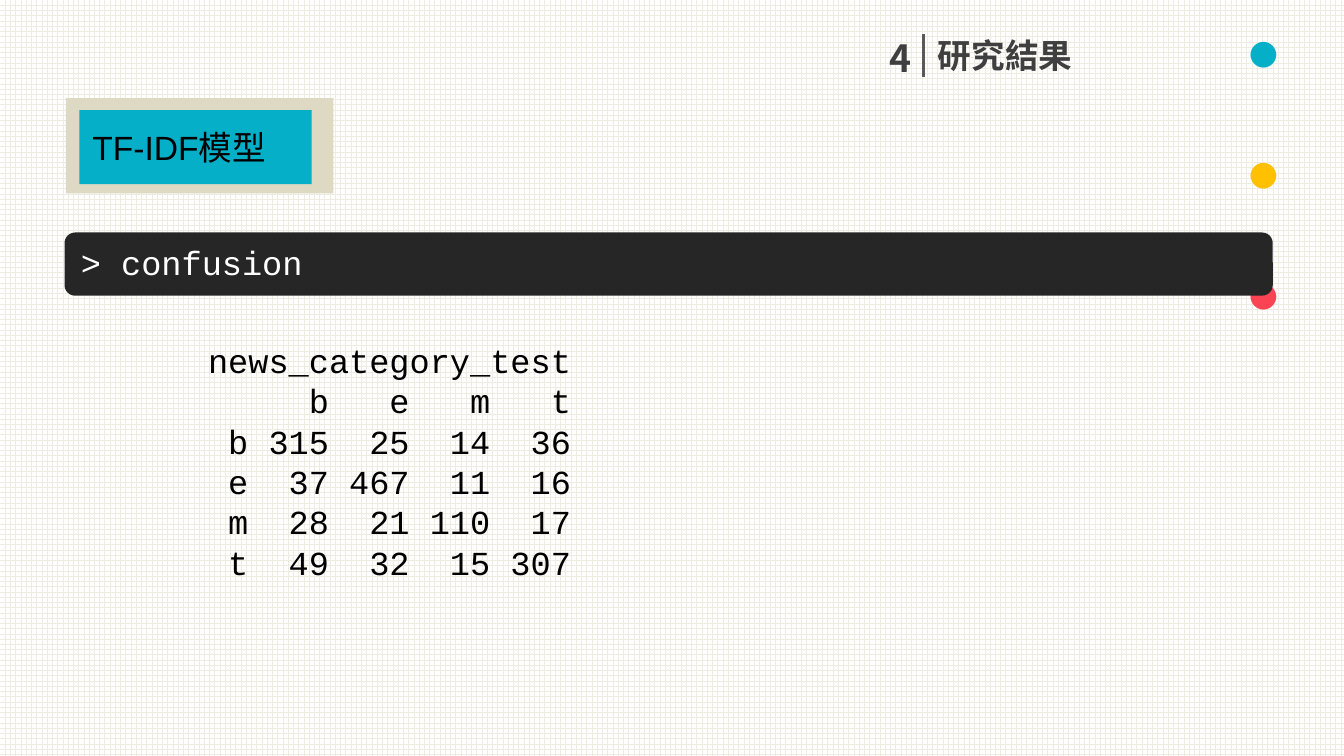
from dataclasses import dataclass
from typing import Any

from lxml.etree import SubElement
from pptx import Presentation
from pptx.dml.color import RGBColor
from pptx.enum.dml import MSO_PATTERN
from pptx.enum.shapes import MSO_CONNECTOR, MSO_SHAPE
from pptx.enum.text import MSO_ANCHOR, MSO_AUTO_SIZE, PP_ALIGN
from pptx.oxml.ns import qn
from pptx.util import Inches, Pt

HUES = {"paper": "FFFFFF", "grid": "EEECE1", "teal": "05AFC8", "gold": "FFC000",
        "red": "FA4453", "sand": "DDD9C3", "dark": "262626", "gray": "3F3F3F",
        "rule": "595959", "black": "000000", "white": "FFFFFF"}
CJK = "Noto Sans CJK SC"
FONTS = {
    "dot": {"name": CJK, "size": Pt(54), "bold": True},
    "num": {"name": CJK, "size": Pt(20), "bold": True},
    "head": {"name": CJK, "size": Pt(18), "bold": True},
    "label": {"name": "Arial", "size": Pt(18)},
    "code": {"name": "Courier New", "size": Pt(18)},
}
CHAR = 0.15  # inches per code character at 18 pt
STOPS = range(3, 20, 4)

deck = Presentation()
deck.slide_width, deck.slide_height = Inches(10), Inches(5.625)
COL, ROW = deck.slide_width / 100, deck.slide_height / 100
slide = deck.slides.add_slide(deck.slide_layouts[6])


@dataclass
class Box:
    """A place on the grid of 100 columns by 100 rows."""
    col: float
    row: float
    wide: float
    high: float

    def at(self) -> tuple[int, int, int, int]:
        """Give left, top, width and height in slide units."""
        return (round(self.col * COL), round(self.row * ROW),
                round(self.wide * COL), round(self.high * ROW))


@dataclass
class Panel:
    """A filled shape with an optional line of text."""
    kind: Any
    box: Box
    fill: str
    text: str = ""
    font: str = "label"
    hue: str = "black"
    anchor: Any = MSO_ANCHOR.MIDDLE


@dataclass
class Note:
    """A text box: each line is a list of (text, hue) runs."""
    box: Box
    font: str
    lines: list
    align: Any = PP_ALIGN.LEFT


def tint(name: str) -> RGBColor:
    """Look up a colour by name."""
    return RGBColor.from_string(HUES[name])


def write(para: Any, text: str, font: str, hue: str) -> None:
    """Add one run in the given format."""
    run = para.add_run()
    run.text = text
    for key, value in FONTS[font].items():
        setattr(run.font, key, value)
    run.font.color.rgb = tint(hue)
    SubElement(run.font._element, qn("a:ea"), typeface=CJK)


def draw(panel: Panel) -> None:
    """Draw a filled panel."""
    shape = slide.shapes.add_shape(panel.kind, *panel.box.at())
    shape.shadow.inherit = False
    shape.fill.solid()
    shape.fill.fore_color.rgb = tint(panel.fill)
    shape.line.fill.background()
    if panel.text:
        frame = shape.text_frame
        frame.vertical_anchor = panel.anchor
        para = frame.paragraphs[0]
        para.alignment = PP_ALIGN.LEFT
        write(para, panel.text, panel.font, panel.hue)


def place(note: Note) -> Any:
    """Add a text box and return its frame."""
    frame = slide.shapes.add_textbox(*note.box.at()).text_frame
    frame.word_wrap = True
    frame.auto_size = MSO_AUTO_SIZE.SHAPE_TO_FIT_TEXT
    for i, line in enumerate(note.lines):
        para = frame.add_paragraph() if i else frame.paragraphs[0]
        para.alignment = note.align
        for text, hue in line:
            write(para, text, note.font, hue)
    return frame


def stops(para: Any) -> None:
    """Set right tab stops at the ends of the matrix columns."""
    tabs = SubElement(para._p.get_or_add_pPr(), qn("a:tabLst"))
    for stop in STOPS:
        SubElement(tabs, qn("a:tab"), pos=str(Inches(stop * CHAR)), algn="r")


def rule(col: float, top: float, end: float) -> None:
    """Draw the upright line beside the heading."""
    line = slide.shapes.add_connector(
        MSO_CONNECTOR.STRAIGHT, round(col * COL), round(end * ROW),
        round(col * COL), round(top * ROW))
    line.line.color.rgb = tint("rule")
    line.line.width = Pt(1.5)
    SubElement(line._element.spPr, qn("a:effectLst"))


back = slide.background.fill
back.patterned()
back.pattern = MSO_PATTERN.LARGE_GRID
back.fore_color.rgb, back.back_color.rgb = tint("grid"), tint("paper")

dots = place(Note(Box(82.3, -1.78, 16.5, 17.96), "dot",
                  [[("· ", "teal"), ("· ", "gold"), ("·", "red")]], PP_ALIGN.RIGHT))
for run in dots.paragraphs[0].runs:
    run.font._element.set("lang", "zh-TW")
    run.font._element.set("altLang", "en-US")

PANELS = [
    Panel(MSO_SHAPE.RECTANGLE, Box(4.9, 12.98, 19.9, 12.62), "sand"),
    Panel(MSO_SHAPE.RECTANGLE, Box(5.9, 14.58, 17.3, 9.78), "teal", "TF-IDF模型"),
    Panel(MSO_SHAPE.ROUNDED_RECTANGLE, Box(4.8, 30.76, 89.9, 8.36), "dark",
          "> confusion", "code", "white", MSO_ANCHOR.TOP),
]
for panel in PANELS:
    draw(panel)

NAMES = "bemt"
COUNTS = [(315, 25, 14, 36), (37, 467, 11, 16), (28, 21, 110, 17), (49, 32, 15, 307)]
rows = ["news_category_test", "\t\t" + "\t".join(NAMES)]
rows += ["\t" + "\t".join(map(str, (name, *row))) for name, row in zip(NAMES, COUNTS)]
matrix = place(Note(Box(13, 44.09, 50.3, 34.13), "code",
                    [[(row, "black")] for row in rows]))
title, *body = matrix.paragraphs
title._p.get_or_add_pPr().set("indent", str(Inches(CHAR)))
for para in body:
    stops(para)

rule(68.7, 4.44, 10.13)
place(Note(Box(60.2, 3.73, 8.6, 7.82), "num", [[("4", "gray")]], PP_ALIGN.RIGHT))
place(Note(Box(68.8, 3.73, 33.1, 7.11), "head", [[("研究結果", "gray")]]))

deck.save("out.pptx")
